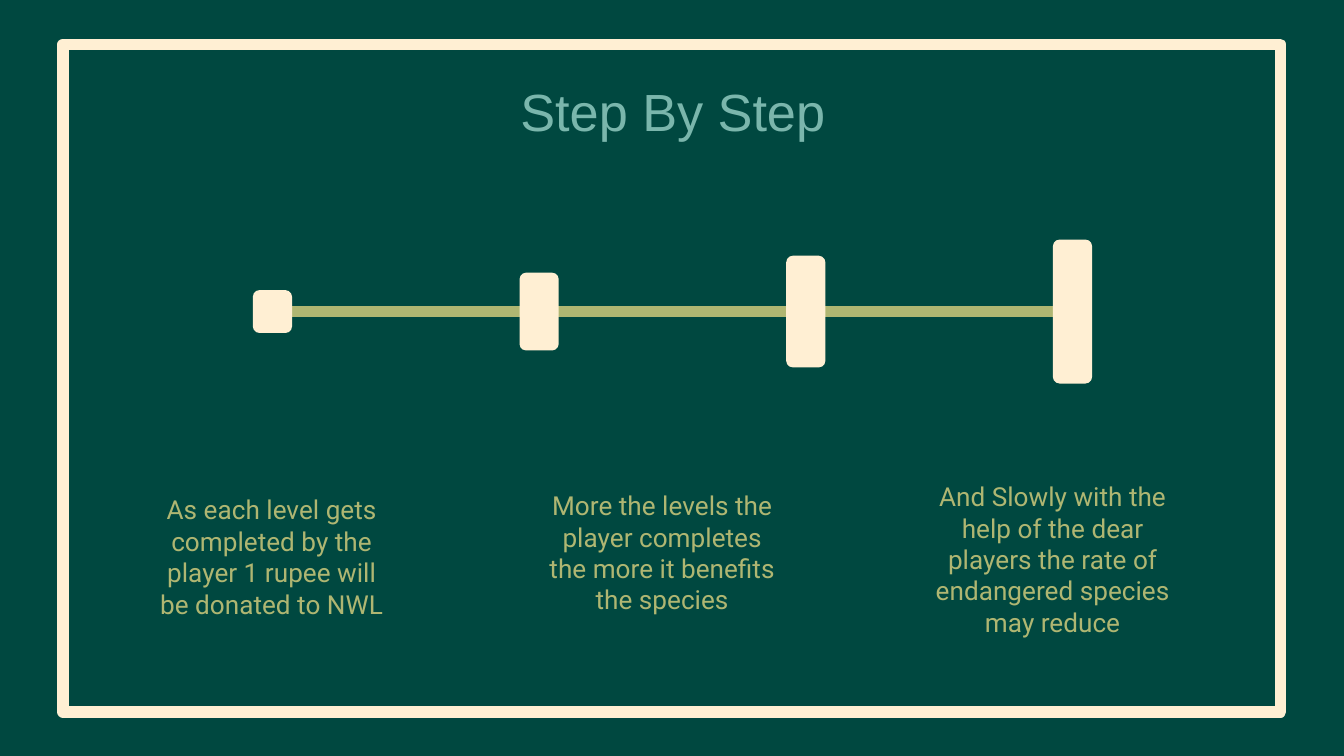
from lxml import etree
from pptx import Presentation
from pptx import util as u
from pptx.dml import color
from pptx.enum import shapes, text
from pptx.oxml import ns

CREAM, OLIVE, TEAL, GREEN = "FFEFD3", "AFB672", "7AB6AC", "004840"


def paint(fill, tint):
    fill.solid()
    fill.fore_color.rgb = color.RGBColor.from_string(tint)


class Deck:
    """Holds the style and the current slide, and draws each kind of element."""

    stroke = u.Pt(6)
    inset = u.Cm(0.25)

    def __init__(self, wide, high):
        self.show = Presentation()
        self.show.slide_width, self.show.slide_height = u.Cm(wide), u.Cm(high)
        self.slide = self.show.slides.add_slide(self.show.slide_layouts[6])
        paint(self.slide.background.fill, GREEN)

    def shape(self, kind, box):
        item = self.slide.shapes.add_shape(kind, *map(u.Cm, box))
        item.shadow.inherit = False
        return item

    def frame(self, box):
        item = self.shape(shapes.MSO_SHAPE.RECTANGLE, box)
        item.fill.background()
        paint(item.line.fill, CREAM)
        item.line.width = self.stroke
        etree.SubElement(item.line._get_or_add_ln(), ns.qn("a:round"))

    def bar(self, box):
        item = self.shape(shapes.MSO_SHAPE.ROUNDED_RECTANGLE, box)
        item.adjustments[0] = 0.167
        paint(item.fill, CREAM)
        item.line.fill.background()

    def line(self, left, right, y):
        item = self.slide.shapes.add_connector(
            shapes.MSO_CONNECTOR.STRAIGHT, u.Cm(left), u.Cm(y), u.Cm(right), u.Cm(y))
        paint(item.line.fill, OLIVE)
        item.line.width = self.stroke
        etree.SubElement(item._element.spPr, ns.qn("a:effectLst"))

    def label(self, words, box, size, face, tint, anchor):
        body = self.slide.shapes.add_textbox(*map(u.Cm, box)).text_frame
        body.word_wrap = True
        body.vertical_anchor = anchor
        body.margin_left = body.margin_right = self.inset
        body.margin_top = body.margin_bottom = self.inset
        line = body.paragraphs[0]
        line.text = words
        line.alignment = text.PP_ALIGN.CENTER
        line.font.size, line.font.name = u.Pt(size), face
        paint(line.font.fill, tint)


def main():
    deck = Deck(25.4, 14.29)
    deck.frame((1.19, 0.84, 23.01, 12.62))

    left, step, width, axis = 4.78, 5.04, 0.74, 5.89
    deck.line(left + width, left + 3 * step + width, axis)
    deck.label("Step By Step", (2.01, 1.24, 21.41, 1.6), 28, "Arial", TEAL,
               text.MSO_ANCHOR.TOP)

    notes = (
        ("As each level gets completed by the player 1 rupee will be donated to NWL", 9.02, 3),
        ("More the levels the player completes the more it benefits the species", 8.89, 3.1),
        ("And Slowly with the help of the dear players the rate of endangered species may reduce",
         9.07, 3),
    )
    for i, (words, top, high) in enumerate(notes):
        deck.label(words, (2.62 + 7.38 * i, top, 5.03, high), 14, "Roboto", OLIVE,
                   text.MSO_ANCHOR.MIDDLE)

    for i, high in enumerate((0.81, 1.47, 2.11, 2.72)):
        deck.bar((left + step * i, axis - high / 2, width, high))

    deck.show.save("out.pptx")


if __name__ == "__main__":
    main()
